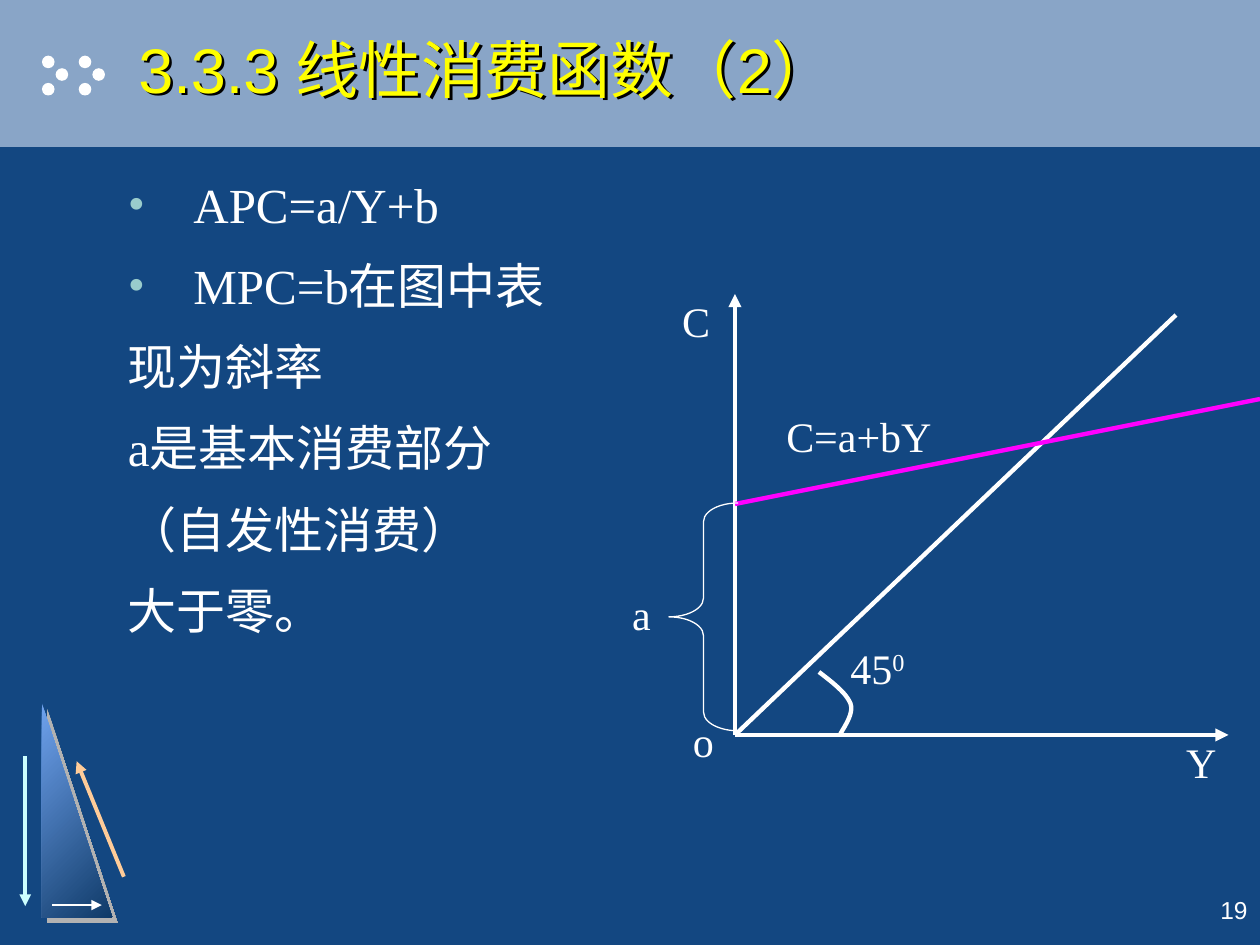
from dataclasses import dataclass

from lxml import etree
from pptx import Presentation
from pptx import util as u
from pptx.dml.color import RGBColor
from pptx.enum import shapes, text
from pptx.oxml.ns import qn

NAVY = RGBColor(0x13, 0x47, 0x81)
BAND = RGBColor(0x89, 0xA5, 0xC7)
WHITE = RGBColor(0xFF, 0xFF, 0xFF)
BLACK = RGBColor(0, 0, 0)
YELLOW = RGBColor(0xFF, 0xFF, 0)
MAGENTA = RGBColor(0xFF, 0, 0xFF)
AQUA = RGBColor(0xCC, 0xFF, 0xFF)
PEACH = RGBColor(0xFF, 0xCC, 0x99)
TEAL = RGBColor(0x99, 0xCC, 0xCC)
GREY = RGBColor(0xB2, 0xB2, 0xB2)
SKY = RGBColor(0x6F, 0xA2, 0xED)
DEEP = RGBColor(0x0F, 0x3A, 0x68)

COLUMNS, ROWS = 120, 90
UNIT = u.Inches(10) // COLUMNS
SERIF, SANS = "Times New Roman", "Arial"


@dataclass
class Box:
    left: float
    top: float
    width: float
    height: float

    def point(self, column, row):
        return round((self.left + column) * UNIT), round((self.top + row) * UNIT)

    def area(self, column, row, width, height):
        return *self.point(column, row), round(width * UNIT), round(height * UNIT)


def add_shadow(shape, color, distance):
    shape.shadow.inherit = False
    effects = shape._element.spPr.find(qn("a:effectLst"))
    shadow = etree.SubElement(effects, qn("a:outerShdw"), blurRad="0",
                              dist=str(u.Pt(distance)), dir="2700000", algn="ctr", rotWithShape="0")
    etree.SubElement(shadow, qn("a:srgbClr"), val=str(color))


def add_shape(parent, kind, area, fill=None):
    shape = parent.add_shape(kind, *area)
    shape.shadow.inherit = False
    shape.line.fill.background()
    if fill is None:
        shape.fill.background()
    else:
        shape.fill.solid()
        shape.fill.fore_color.rgb = fill
    return shape


def add_line(page, box, start, end, color=WHITE, width=2.5, arrow=False):
    line = page.shapes.add_connector(shapes.MSO_CONNECTOR.STRAIGHT, *box.point(*start), *box.point(*end))
    line.line.color.rgb = color
    line.line.width = u.Pt(width)
    if arrow:
        etree.SubElement(line.line._get_or_add_ln(), qn("a:tailEnd"), type="triangle")
    etree.SubElement(line._element.spPr, qn("a:effectLst"))


def style(para, size, name, color):
    for span in para.runs:
        span.font.size = u.Pt(size)
        span.font.name = name
        span.font.color.rgb = color


def add_text(page, area, content, size, name=SERIF, color=WHITE, wrap=True):
    label = page.shapes.add_textbox(*area)
    frame = label.text_frame
    frame.word_wrap = wrap
    if not wrap:
        frame.auto_size = text.MSO_AUTO_SIZE.SHAPE_TO_FIT_TEXT
    frame.text = content
    for para in frame.paragraphs:
        style(para, size, name, color)
    return label


def draw_header(page, box, title):
    add_shape(page.shapes, shapes.MSO_SHAPE.RECTANGLE, box.area(0, 0, box.width, box.height), BAND)
    dots = page.shapes.add_group_shape()
    for start in (4, 7.5):
        for column, row in ((0, 5.3), (1.3, 6.5), (0, 7.9)):
            add_shape(dots.shapes, shapes.MSO_SHAPE.OVAL, box.area(start + column, row, 1.2, 1.2), WHITE)
    heading = add_text(page, box.area(12, 0, box.width - 12, 13), title, 36, SANS, YELLOW)
    heading.text_frame.vertical_anchor = text.MSO_ANCHOR.MIDDLE
    add_shadow(heading, BLACK, 2)


def draw_ornament(page, box):
    triangle = add_shape(page.shapes, shapes.MSO_SHAPE.RIGHT_TRIANGLE, box.area(2, 1, 6.7, 20.4))
    triangle.fill.gradient()
    triangle.fill.gradient_angle = 315
    for stop, color in zip(triangle.fill.gradient_stops, (SKY, DEEP)):
        stop.color.rgb = color
    add_shadow(triangle, GREY, 4.2)
    for start, end, color, width in (
        ((0.4, 6), (0.4, 20.3), AQUA, 2.25),
        ((9.8, 17.5), (5.3, 6.5), PEACH, 2.25),
        ((3, 20.2), (7.7, 20.2), WHITE, 1.5),
    ):
        add_line(page, box, start, end, color, width, True)


def draw_notes(page, box, lines, bullets):
    notes = add_text(page, box.area(0, 0, box.width, box.height), "\n".join(lines), 28)
    for index, para in enumerate(notes.text_frame.paragraphs):
        properties = para._p.get_or_add_pPr()
        properties.set("marL", str(u.Inches(0.52)))
        properties.set("indent", str(-u.Inches(0.52)))
        if index:
            para.space_before = u.Pt(12.8)
        if index < bullets:
            color = etree.SubElement(properties, qn("a:buClr"))
            etree.SubElement(color, qn("a:srgbClr"), val=str(TEAL))
            etree.SubElement(properties, qn("a:buFont"), typeface=SERIF)
            etree.SubElement(properties, qn("a:buChar"), char="•")
        else:
            etree.SubElement(properties, qn("a:buNone"))


def bezier(start, first, second, end, steps=12):
    for step in range(steps + 1):
        t = step / steps
        weights = ((1 - t) ** 3, 3 * t * (1 - t) ** 2, 3 * t * t * (1 - t), t ** 3)
        yield tuple(sum(w * p[axis] for w, p in zip(weights, (start, first, second, end)))
                    for axis in (0, 1))


def draw_angle(page, box):
    points = [*bezier((19, 37), (20.3, 38), (21.6, 39), (22, 40)),
              *bezier((22, 40), (22.4, 41), (21.2, 42.5), (21, 43))]
    start, *rest = [box.point(*point) for point in points]
    builder = page.shapes.build_freeform(*start)
    builder.add_line_segments(rest, close=False)
    arc = builder.convert_to_shape()
    arc.shadow.inherit = False
    arc.fill.background()
    arc.line.color.rgb = WHITE
    arc.line.width = u.Pt(2.5)


def draw_graph(page, box):
    origin = (11, 43)
    add_line(page, box, origin, (11, 1), arrow=True)
    add_line(page, box, origin, (58, 43), arrow=True)
    add_line(page, box, origin, (53, 3))
    draw_angle(page, box)
    add_line(page, box, (11, 21), (61, 11), MAGENTA)
    for content, column, row, width in (
        ("C=a+bY", 14.7, 11.5, 16.7),
        ("o", 5.8, 40.6, 4.4),
        ("Y", 52.8, 42.6, 5.3),
        ("C", 4.8, 0.6, 5),
    ):
        add_text(page, box.area(column, row, width, 6), content, 24, wrap=False)
    angle = add_text(page, box.area(20.8, 33.6, 7.8, 6), "45", 24, wrap=False).text_frame.paragraphs[0]
    angle.add_run().text = "0"
    style(angle, 24, SERIF, WHITE)
    angle.runs[1].font._element.set("baseline", "30000")
    brace = add_shape(page.shapes, shapes.MSO_SHAPE.LEFT_BRACE, box.area(4.7, 20.9, 6.6, 21.7))
    brace.adjustments[0] = 0.27
    brace.line.color.rgb = WHITE
    brace.line.width = u.Pt(0.75)
    intercept = add_text(page, box.area(0, 27.5, 4.2, 7), "a", 24, wrap=False).text_frame.paragraphs[0]
    intercept.alignment = text.PP_ALIGN.CENTER
    intercept.line_spacing = 1.2


def draw_number(page, box, number):
    frame = add_text(page, box.area(0, 0, box.width, box.height), number, 14, SANS).text_frame
    frame.vertical_anchor = text.MSO_ANCHOR.MIDDLE
    frame.paragraphs[0].alignment = text.PP_ALIGN.RIGHT


def main():
    deck = Presentation()
    deck.slide_width, deck.slide_height = COLUMNS * UNIT, ROWS * UNIT
    page = deck.slides.add_slide(deck.slide_layouts[6])
    page.background.fill.solid()
    page.background.fill.fore_color.rgb = NAVY
    draw_header(page, Box(0, 0, COLUMNS, 14), "3.3.3 线性消费函数（2）")
    draw_ornament(page, Box(2, 66, 10, 22))
    draw_notes(page, Box(11, 16, 50, 54.5), (
        "APC=a/Y+b", "MPC=b在图中表", "现为斜率", "a是基本消费部分", "（自发性消费）", "大于零。"), 2)
    draw_graph(page, Box(59, 27, 61, 49))
    draw_number(page, Box(89.4, 83.6, 30.6, 6), "19")
    deck.save("out.pptx")


if __name__ == "__main__":
    main()
